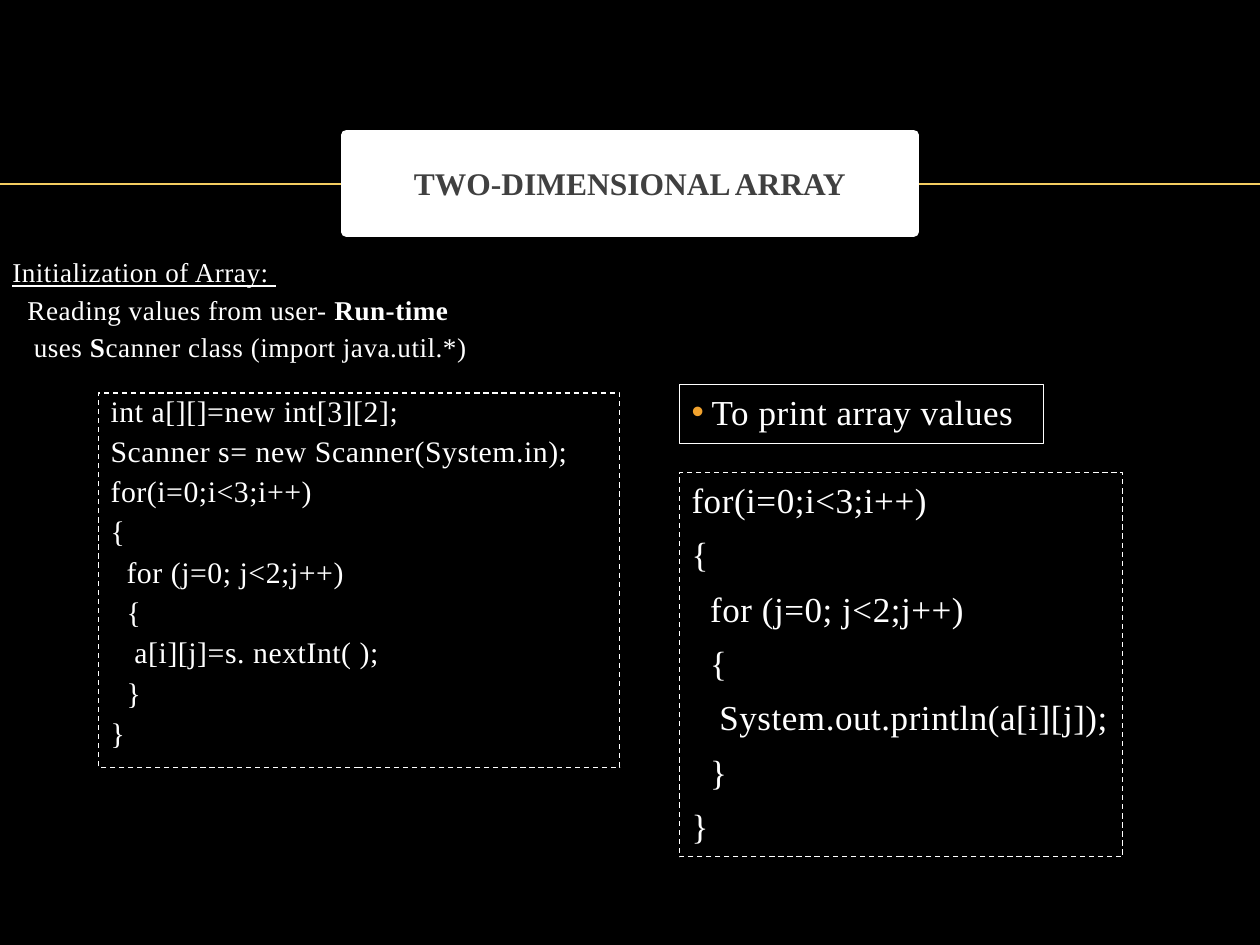
import pptx
import pptx.util
import pptx.dml.color
import pptx.enum.dml
import pptx.enum.shapes
import pptx.enum.text
import pptx.oxml.ns
from lxml import etree
from pptx.util import Inches, Pt


def color(value):
    return pptx.dml.color.RGBColor.from_string(value)


class ArraySlide:
    """Holds the slide, its font and colours, and draws each kind of element."""

    font = "Times New Roman"
    white = "FFFFFF"
    gold = "F3CD60"
    orange = "F0A22E"
    grey = "404040"

    def __init__(self, deck):
        self.page = deck.slides.add_slide(deck.slide_layouts[5])
        self.page.background.fill.solid()
        self.page.background.fill.fore_color.rgb = color("000000")

    def add_span(self, para, text, size, fill, bold=False, underline=False, tracking=30):
        span = para.add_run()
        span.text = text
        span.font.name = self.font
        span.font.size = Pt(size)
        span.font.bold = bold
        span.font.underline = underline
        span.font.color.rgb = color(fill)
        if tracking:
            span.font._element.set("spc", str(tracking))

    def add_rule(self, y):
        rule = self.page.shapes.add_connector(
            pptx.enum.shapes.MSO_CONNECTOR.STRAIGHT,
            Inches(0), Inches(y), Inches(10), Inches(y))
        rule.line.color.rgb = color(self.gold)
        rule.line.width = Pt(1)
        etree.SubElement(rule._element.spPr, pptx.oxml.ns.qn("a:effectLst"))

    def set_title(self, text, left, top, width, height):
        title = self.page.shapes.title
        title.left, title.top = Inches(left), Inches(top)
        title.width, title.height = Inches(width), Inches(height)
        title.fill.solid()
        title.fill.fore_color.rgb = color(self.white)
        title.line.color.rgb = color(self.white)
        title.line.width = Pt(6)
        frame = title.text_frame
        frame.auto_size = pptx.enum.text.MSO_AUTO_SIZE.NONE
        frame.vertical_anchor = pptx.enum.text.MSO_ANCHOR.MIDDLE
        para = frame.paragraphs[0]
        para.alignment = pptx.enum.text.PP_ALIGN.CENTER
        self.add_span(para, text, 18, self.grey, bold=True, tracking=0)
        self.page.shapes._spTree.append(title._element)

    def add_paragraphs(self, frame, lines, size, spacing, gap):
        """Write lines of (text, bold, underline) spans."""
        for index, spans in enumerate(lines):
            para = frame.add_paragraph() if index else frame.paragraphs[0]
            para.alignment = pptx.enum.text.PP_ALIGN.LEFT
            para.line_spacing = spacing
            para.space_before = Pt(gap if index else 0)
            for text, bold, underline in spans:
                self.add_span(para, text, size, self.white, bold, underline)

    def add_text(self, lines, indents, left, top, width, height):
        box = self.page.shapes.add_textbox(
            Inches(left), Inches(top), Inches(width), Inches(height))
        box.text_frame.word_wrap = True
        self.add_paragraphs(box.text_frame, lines, 15.5, 0.8, 6.5)
        for para, indent in zip(box.text_frame.paragraphs, indents):
            para._p.get_or_add_pPr().set("marL", str(Inches(indent)))

    def add_frame(self, lines, size, left, top, width, height,
                  spacing=1.0, gap=7, dashed=True):
        box = self.page.shapes.add_shape(
            pptx.enum.shapes.MSO_SHAPE.RECTANGLE,
            Inches(left), Inches(top), Inches(width), Inches(height))
        box.shadow.inherit = False
        box.fill.background()
        box.line.color.rgb = color(self.white)
        box.line.width = Pt(0.75)
        if dashed:
            box.line.dash_style = pptx.enum.dml.MSO_LINE.DASH
        box.text_frame.word_wrap = True
        box.text_frame.vertical_anchor = pptx.enum.text.MSO_ANCHOR.TOP
        spans = [[(line, False, False)] for line in lines]
        self.add_paragraphs(box.text_frame, spans, size, spacing, gap)
        return box

    def add_bullet(self, para, indent):
        properties = para._p.get_or_add_pPr()
        properties.set("marL", str(Inches(indent)))
        properties.set("indent", str(-Inches(indent)))
        qn = pptx.oxml.ns.qn
        tint = etree.SubElement(properties, qn("a:buClr"))
        etree.SubElement(tint, qn("a:srgbClr"), val=self.orange)
        etree.SubElement(properties, qn("a:buFont"), typeface="Arial")
        etree.SubElement(properties, qn("a:buChar"), char="•")


def nested_loop(statement):
    return ["for(i=0;i<3;i++)", "{", "  for (j=0; j<2;j++)", "  {",
            "   " + statement, "  }", "}"]


def main():
    deck = pptx.Presentation()
    deck.slide_width, deck.slide_height = Inches(10), Inches(7.5)
    slide = ArraySlide(deck)
    slide.add_rule(1.46)
    slide.set_title("TWO-DIMENSIONAL ARRAY", 2.75, 1.07, 4.5, 0.77)
    slide.add_text([
        [("Initialization of Array: ", False, True)],
        [("Reading values from user- ", False, False), ("Run-time", True, False)],
        [("uses ", False, False), ("S", True, False),
         ("canner class (import java.util.*)", False, False)],
    ], [0, 0.12, 0.17], 0, 2.03, 8.2, 0.94)

    reading = ["int a[][]=new int[3][2];", "Scanner s= new Scanner(System.in);"]
    slide.add_frame(reading + nested_loop("a[i][j]=s. nextInt( );"), 17,
                    0.78, 3.12, 4.14, 2.97, spacing=0.8, gap=6.7)
    heading = slide.add_frame(["To print array values"], 20,
                              5.39, 3.05, 2.89, 0.47, dashed=False)
    slide.add_bullet(heading.text_frame.paragraphs[0], 0.16)
    slide.add_frame(nested_loop("System.out.println(a[i][j]);"), 20,
                    5.39, 3.75, 3.52, 3.05)
    deck.save("out.pptx")


if __name__ == "__main__":
    main()
